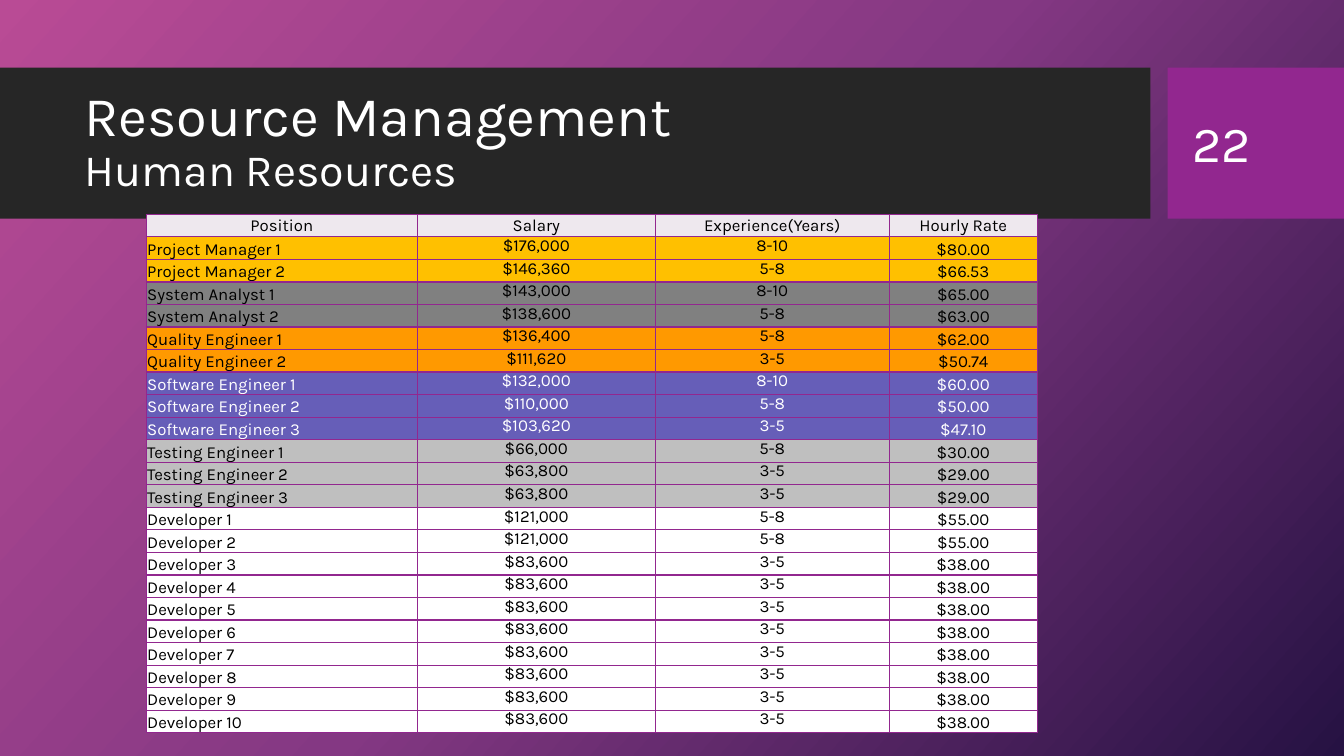
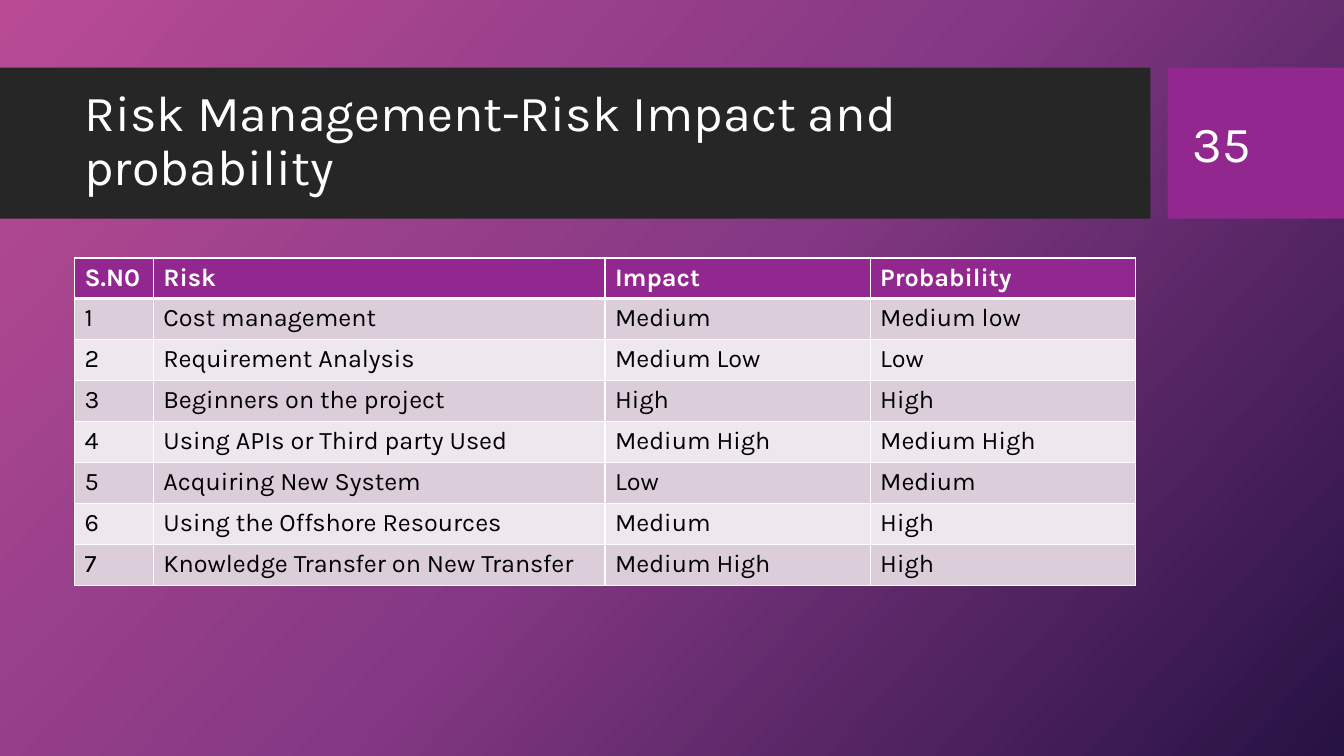
from dataclasses import dataclass, replace

from lxml import etree
from pptx import Presentation
from pptx.dml.color import RGBColor
from pptx.enum.shapes import MSO_SHAPE
from pptx.enum.text import MSO_ANCHOR, PP_ALIGN
from pptx.oxml import parse_xml
from pptx.oxml.ns import nsdecls, qn
from pptx.slide import Slide
from pptx.table import _Cell
from pptx.util import Inches, Pt

RECTANGLE = MSO_SHAPE.RECTANGLE
TOP, MIDDLE, BOTTOM = MSO_ANCHOR.TOP, MSO_ANCHOR.MIDDLE, MSO_ANCHOR.BOTTOM
LEFT, CENTER = PP_ALIGN.LEFT, PP_ALIGN.CENTER

FONT = "Karla"
COLORS = {
    "pink": "B94B95",
    "plum": "843883",
    "night": "261243",
    "band": "262626",
    "accent": "92278F",
    "white": "FFFFFF",
    "black": "000000",
    "pale": "EEE8EE",
    "mauve": "DCCDDB",
    "gold": "FFC000",
    "gray": "808080",
    "orange": "FF9900",
    "violet": "665EB8",
    "silver": "BFBFBF",
}
BACKGROUND_STOPS = ((0, "pink"), (50, "plum"), (100, "night"))
BACKGROUND_ANGLE = 42


@dataclass(frozen=True)
class Area:
    left: float
    top: float
    width: float
    height: float

    def lengths(self) -> tuple[int, ...]:
        return tuple(Inches(value) for value in (self.left, self.top, self.width, self.height))


@dataclass(frozen=True)
class Span:
    text: str
    size: float
    color: str = "white"
    bold: bool = False


@dataclass(frozen=True)
class CellStyle:
    fill: str
    border: str
    size: float
    color: str = "black"
    bold: bool = False
    anchor: MSO_ANCHOR = TOP
    align: PP_ALIGN = LEFT
    margins: tuple[float, ...] = (0.1, 0.05, 0.1, 0.05)  # left, top, right, bottom
    line_height: float | None = None
    bottom_width: float = 1


@dataclass(frozen=True)
class CellContent:
    text: str
    style: CellStyle


@dataclass(frozen=True)
class StaffGroup:
    fill: str
    rows: list[tuple[str, ...]]
    color: str = "black"


BAND = Area(0, 0.67, 11.41, 1.5)
NUMBER_BLOCK = Area(11.58, 0.67, 1.75, 1.5)
TITLE = Area(0.74, 0.82, 10.51, 1.18)
NUMBER = Area(11.73, 0.82, 1.26, 1.19)

# Human resources data
STAFF_HEADINGS = ("Position", "Salary", "Experience(Years)", "Hourly Rate")
STAFF_GROUPS = [
    StaffGroup("gold", [
        ("Project Manager 1", "$176,000", "8-10", "$80.00"),
        ("Project Manager 2", "$146,360", "5-8", "$66.53"),
    ]),
    StaffGroup("gray", [
        ("System Analyst 1", "$143,000", "8-10", "$65.00"),
        ("System Analyst 2", "$138,600", "5-8", "$63.00"),
    ]),
    StaffGroup("orange", [
        ("Quality Engineer 1", "$136,400", "5-8", "$62.00"),
        ("Quality Engineer 2", "$111,620", "3-5", "$50.74"),
    ]),
    StaffGroup("violet", [
        ("Software Engineer 1", "$132,000", "8-10", "$60.00"),
        ("Software Engineer 2", "$110,000", "5-8", "$50.00"),
        ("Software Engineer 3", "$103,620", "3-5", "$47.10"),
    ], "white"),
    StaffGroup("silver", [
        ("Testing Engineer 1", "$66,000", "5-8", "$30.00"),
        ("Testing Engineer 2", "$63,800", "3-5", "$29.00"),
        ("Testing Engineer 3", "$63,800", "3-5", "$29.00"),
    ]),
    StaffGroup("white", [
        *((f"Developer {number}", "$121,000", "5-8", "$55.00") for number in range(1, 3)),
        *((f"Developer {number}", "$83,600", "3-5", "$38.00") for number in range(3, 11)),
    ]),
]

# Risk data
RISK_HEADINGS = ("S.N0", "Risk", "Impact", "Probability")
RISKS = [
    ("Cost management", "Medium", "Medium low"),
    ("Requirement Analysis", "Medium Low", "Low"),
    ("Beginners on the project", "High", "High"),
    ("Using APIs or Third party Used", "Medium High", "Medium High"),
    ("Acquiring New System", "Low", "Medium"),
    ("Using the Offshore Resources", "Medium", "High"),
    ("Knowledge Transfer on New Transfer", "Medium High", "High"),
]


def rgb(name: str) -> RGBColor:
    return RGBColor.from_string(COLORS[name])


def add_span(paragraph, span: Span) -> None:
    run = paragraph.add_run()
    run.text = span.text
    run.font.name = FONT
    run.font.size = Pt(span.size)
    run.font.bold = span.bold
    run.font.color.rgb = rgb(span.color)


def add_text(page: Slide, area: Area, lines: list[Span], spacing: float = 1.0) -> None:
    frame = page.shapes.add_textbox(*area.lengths()).text_frame
    frame.word_wrap = True
    frame.vertical_anchor = MIDDLE
    paragraph = frame.paragraphs[0]
    paragraph.line_spacing = spacing
    for index, line in enumerate(lines):
        if index:
            paragraph.add_line_break()
        add_span(paragraph, line)


def add_block(page: Slide, area: Area, color: str) -> None:
    block = page.shapes.add_shape(RECTANGLE, *area.lengths())
    block.shadow.inherit = False
    block.fill.solid()
    block.fill.fore_color.rgb = rgb(color)
    block.line.fill.background()


def set_background(page: Slide) -> None:
    fill = page.background.fill
    fill.solid()
    stops = "".join(
        f'<a:gs pos="{position * 1000}"><a:srgbClr val="{COLORS[color]}"/></a:gs>'
        for position, color in BACKGROUND_STOPS
    )
    gradient = parse_xml(
        f'<a:gradFill {nsdecls("a")} rotWithShape="1"><a:gsLst>{stops}</a:gsLst>'
        f'<a:lin ang="{BACKGROUND_ANGLE * 60000}" scaled="0"/></a:gradFill>'
    )
    solid = next(page.background._cSld.iter(qn("a:solidFill")))
    solid.getparent().replace(solid, gradient)


def add_page(deck, title: list[Span], number: int) -> Slide:
    page = deck.slides.add_slide(deck.slide_layouts[6])
    set_background(page)
    add_block(page, BAND, "band")
    add_block(page, NUMBER_BLOCK, "accent")
    add_text(page, TITLE, title, 0.9)
    add_text(page, NUMBER, [Span(str(number), 36)])
    return page


def set_borders(cell: _Cell, color: str, top: float, bottom: float) -> None:
    properties = cell._tc.get_or_add_tcPr()
    for edge, width in (("L", 1), ("R", 1), ("T", top), ("B", bottom)):
        line = etree.SubElement(properties, qn(f"a:ln{edge}"), w=str(Pt(width)))
        solid = etree.SubElement(line, qn("a:solidFill"))
        etree.SubElement(solid, qn("a:srgbClr"), val=COLORS[color])


def fill_cell(cell: _Cell, content: CellContent, top_width: float) -> None:
    style = content.style
    set_borders(cell, style.border, top_width, style.bottom_width)
    cell.fill.solid()
    cell.fill.fore_color.rgb = rgb(style.fill)
    cell.vertical_anchor = style.anchor
    cell.margin_left, cell.margin_top, cell.margin_right, cell.margin_bottom = (
        Inches(margin) for margin in style.margins
    )
    paragraph = cell.text_frame.paragraphs[0]
    paragraph.alignment = style.align
    if style.line_height:
        paragraph.line_spacing = Pt(style.line_height)
    add_span(paragraph, Span(content.text, style.size, style.color, style.bold))


def add_grid(page: Slide, area: Area, widths: tuple[float, ...], header_height: float,
             rows: list[list[CellContent]]) -> None:
    table = page.shapes.add_table(len(rows), len(widths), *area.lengths()).table
    table.first_row = table.horz_banding = False
    for column, width in zip(table.columns, widths):
        column.width = Inches(width)
    body_height = (area.height - header_height) / (len(rows) - 1)
    for index, contents in enumerate(rows):
        table.rows[index].height = Inches(body_height if index else header_height)
        for position, content in enumerate(contents):
            # A shared edge takes the width set by the cell above it
            top_width = rows[index - 1][position].style.bottom_width if index else 1
            fill_cell(table.cell(index, position), content, top_width)


def staff_rows() -> list[list[CellContent]]:
    heading = CellStyle("pale", "accent", 12, anchor=MIDDLE, align=CENTER,
                        margins=(0.01, 0.01, 0.01, 0))
    rows = [[CellContent(text, heading) for text in STAFF_HEADINGS]]
    for group in STAFF_GROUPS:
        base = replace(heading, fill=group.fill, color=group.color)
        position = replace(base, anchor=BOTTOM, align=LEFT)
        figure = replace(base, margins=(0, 0, 0, 0), line_height=10.9)
        rate = replace(base, anchor=BOTTOM, line_height=10.9)
        styles = (position, figure, figure, rate)
        rows += [[CellContent(*pair) for pair in zip(row, styles)] for row in group.rows]
    return rows


def risk_rows() -> list[list[CellContent]]:
    heading = CellStyle("accent", "white", 18, "white", bold=True, bottom_width=3)
    rows = [[CellContent(text, heading) for text in RISK_HEADINGS]]
    for number, risk in enumerate(RISKS, start=1):
        style = CellStyle("mauve" if number % 2 else "pale", "white", 18)
        rows.append([CellContent(text, style) for text in (str(number), *risk)])
    return rows


def main() -> None:
    deck = Presentation()
    deck.slide_width, deck.slide_height = Inches(13.33), Inches(7.5)

    # Human resources
    page = add_page(deck, [Span("Resource Management", 40), Span("Human Resources", 32)], 22)
    add_grid(page, Area(1.45, 2.13, 8.84, 5.14), (2.69, 2.36, 2.32, 1.47), 0.22, staff_rows())

    # Risk impact and probability
    page = add_page(deck, [Span("Risk Management-Risk Impact and probability", 36)], 35)
    add_grid(page, Area(0.74, 2.56, 10.51, 3.24), (0.78, 4.48, 2.63, 2.63), 0.39, risk_rows())

    deck.save("out.pptx")


if __name__ == "__main__":
    main()
